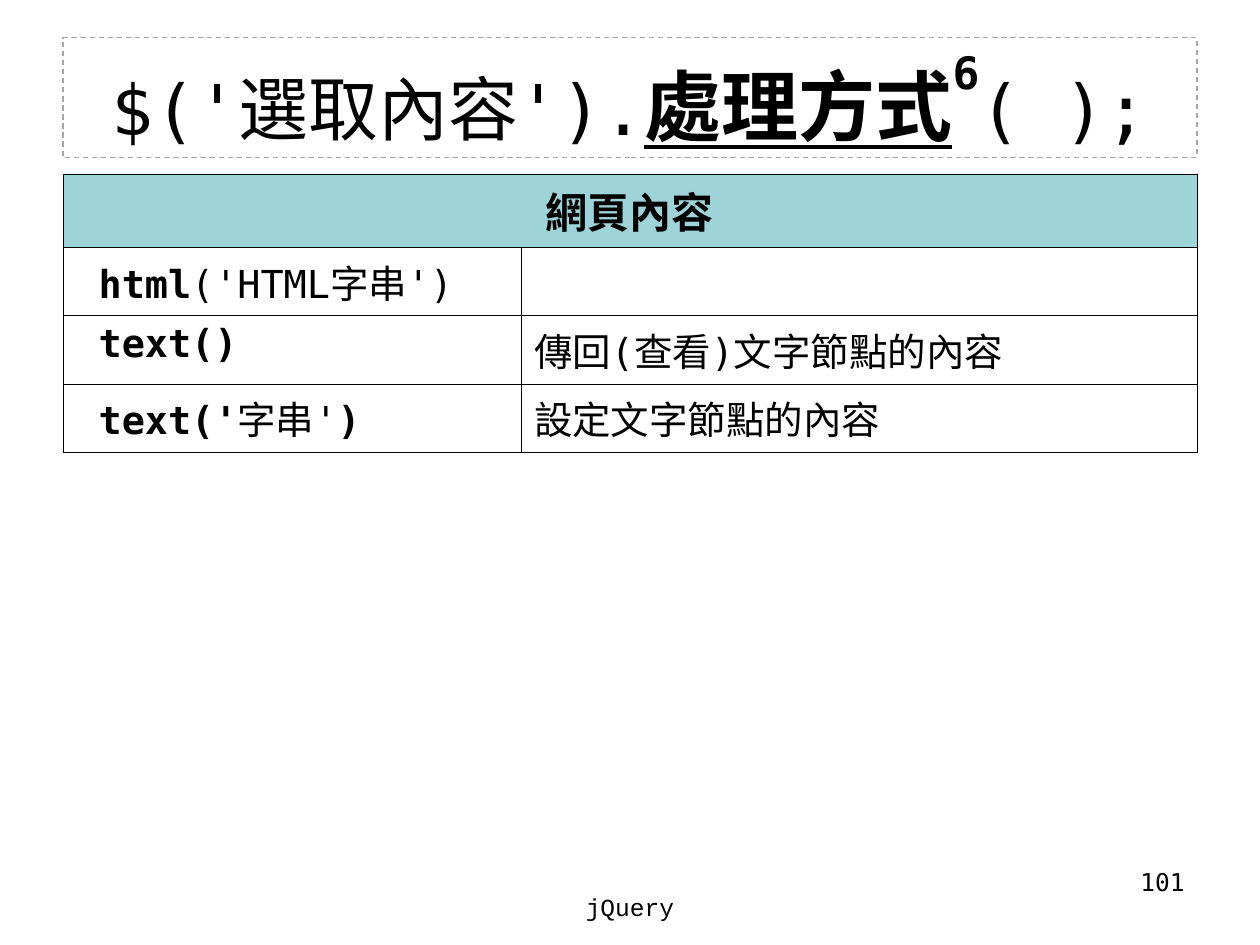
from dataclasses import dataclass

from lxml.etree import SubElement
from pptx import Presentation
from pptx.dml.color import RGBColor
from pptx.enum.dml import MSO_LINE
from pptx.enum.shapes import MSO_SHAPE
from pptx.enum.text import MSO_ANCHOR as Anchor, PP_ALIGN as Align
from pptx.oxml.ns import qn
from pptx.util import Pt

COLOURS = {"ink": "000000", "header": "9ED3D7", "frame": "A6A6A6"}
MONO = "DejaVu Sans Mono"
COLUMN_WIDTHS = (262, 386)
HEADER_HEIGHT, ROW_HEIGHT = 36, 34
CELL_MARGIN, METHOD_MARGIN = 7.2, 20.4
BORDER_WIDTH = 0.45


@dataclass(frozen=True)
class Span:
    text: str
    size: float = 22
    bold: bool = False
    underline: bool = False
    raised: int = 0
    face: str = MONO


@dataclass(frozen=True)
class Footer:
    left: float
    top: float
    width: float
    height: float
    align: Align
    span: Span


SYNTAX = (
    Span("$('選取內容').", 40),
    Span("處理方式", 44, bold=True, underline=True),
    Span("6", 44, bold=True, raised=60),
    Span("( );", 40),
)
HEADING = (Span("網頁內容", 24, bold=True),)
METHODS = (
    ((Span("html", bold=True), Span("('HTML字串')")), ()),
    ((Span("text()", bold=True),), (Span("傳回(查看)文字節點的內容"),)),
    (
        (Span("text('", bold=True), Span("字串'"), Span(")", bold=True)),
        (Span("設定文字節點的內容"),),
    ),
)
FOOTERS = (
    Footer(516, 492, 168, 37, Align.RIGHT, Span("101", 14)),
    Footer(246, 506, 228, 34, Align.CENTER, Span("jQuery", 14, face="Courier New")),
)


def colour(name: str) -> RGBColor:
    """Return the named colour."""
    return RGBColor.from_string(COLOURS[name])


def write(frame, spans: tuple, align: Align = Align.LEFT) -> None:
    """Write formatted spans into the first paragraph of a text frame."""
    paragraph = frame.paragraphs[0]
    paragraph.alignment = align
    for span in spans:
        run = paragraph.add_run()
        run.text = span.text
        formats = {
            "name": span.face,
            "size": Pt(span.size),
            "bold": span.bold,
            "underline": span.underline,
        }
        for attribute, value in formats.items():
            setattr(run.font, attribute, value)
        run.font.color.rgb = colour("ink")
        if span.raised:
            run._r.get_or_add_rPr().set("baseline", str(span.raised * 1000))


def add_borders(cell) -> None:
    """Draw thin lines on the four sides of a cell."""
    properties = cell._tc.get_or_add_tcPr()
    for side in ("lnL", "lnR", "lnT", "lnB"):
        line = SubElement(properties, qn(f"a:{side}"), w=str(int(Pt(BORDER_WIDTH))))
        fill = SubElement(line, qn("a:solidFill"))
        SubElement(fill, qn("a:srgbClr"), val=COLOURS["ink"])


def add_syntax(slide) -> None:
    """Add the dashed title frame with the call syntax."""
    title = slide.shapes.add_shape(
        MSO_SHAPE.RECTANGLE, Pt(36), Pt(21.6), Pt(sum(COLUMN_WIDTHS)), Pt(68.4)
    )
    title.shadow.inherit = False
    title.fill.background()
    title.line.color.rgb = colour("frame")
    title.line.width = Pt(0.75)
    title.line.dash_style = MSO_LINE.DASH
    title.text_frame.word_wrap = False
    title.text_frame.vertical_anchor = Anchor.MIDDLE
    write(title.text_frame, SYNTAX, Align.CENTER)


def add_methods(slide) -> None:
    """Add the table of content methods under its merged heading."""
    heights = (HEADER_HEIGHT,) + (ROW_HEIGHT,) * len(METHODS)
    table = slide.shapes.add_table(
        len(heights), len(COLUMN_WIDTHS), Pt(36), Pt(99.4),
        Pt(sum(COLUMN_WIDTHS)), Pt(sum(heights)),
    ).table
    table.first_row = table.horz_banding = False
    for column, width in zip(table.columns, COLUMN_WIDTHS):
        column.width = Pt(width)
    for row, height in zip(table.rows, heights):
        row.height = Pt(height)
    for cell in table.iter_cells():
        add_borders(cell)
        cell.fill.background()

    heading = table.cell(0, 0)
    heading.merge(table.cell(0, 1))
    heading.fill.solid()
    heading.fill.fore_color.rgb = colour("header")
    write(heading.text_frame, HEADING, Align.CENTER)

    for row, entry in enumerate(METHODS, start=1):
        for column, (spans, margin) in enumerate(zip(entry, (METHOD_MARGIN, CELL_MARGIN))):
            cell = table.cell(row, column)
            cell.margin_left = Pt(margin)
            write(cell.text_frame, spans)


def add_footer(slide, footer: Footer) -> None:
    """Add one footer text."""
    box = slide.shapes.add_textbox(
        Pt(footer.left), Pt(footer.top), Pt(footer.width), Pt(footer.height)
    )
    box.text_frame.word_wrap = True
    write(box.text_frame, (footer.span,), footer.align)


def main() -> None:
    """Build the slide and save it."""
    deck = Presentation()
    deck.slide_width, deck.slide_height = Pt(720), Pt(540)
    slide = deck.slides.add_slide(deck.slide_layouts[6])
    add_syntax(slide)
    add_methods(slide)
    for footer in FOOTERS:
        add_footer(slide, footer)
    deck.save("out.pptx")


if __name__ == "__main__":
    main()
